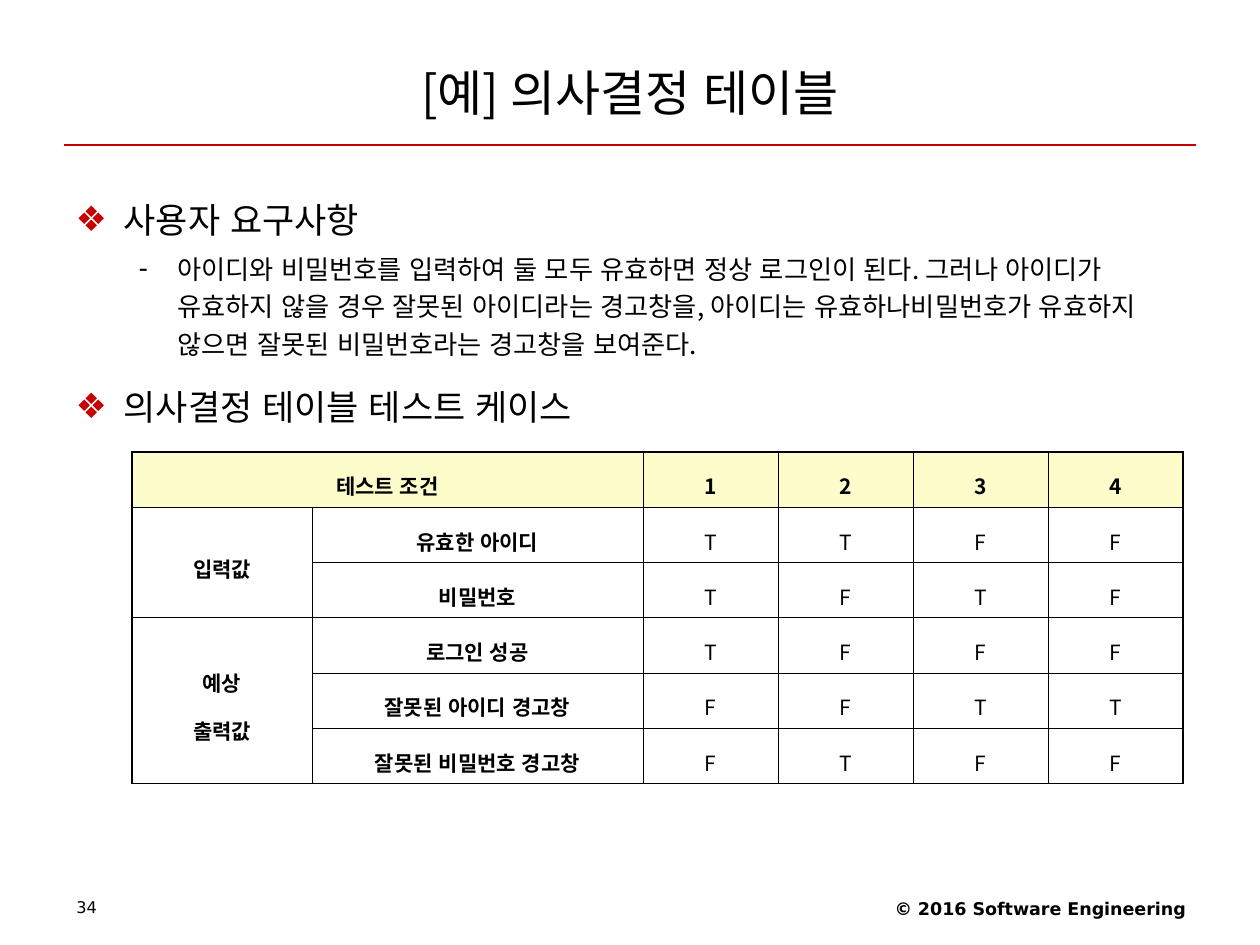
import dataclasses

import lxml.etree
import pptx
import pptx.dml.color
import pptx.enum.shapes
import pptx.enum.text
import pptx.oxml
import pptx.oxml.ns
import pptx.util


@dataclasses.dataclass(frozen=True)
class Theme:
    text: str = "000000"
    accent: str = "C40000"
    header_fill: str = "FDFCCB"
    korean_font: str = "Noto Sans CJK KR"
    latin_font: str = "DejaVu Sans"
    title_size: float = 28
    heading_size: float = 20
    detail_size: float = 15
    table_size: float = 12
    footer_size: float = 10
    number_size: float = 9.2
    inner_border: float = 0.45
    outer_border: float = 1.08


theme = Theme()
qn = pptx.oxml.ns.qn
align = pptx.enum.text.PP_ALIGN
middle = pptx.enum.text.MSO_ANCHOR.MIDDLE


def px(length):
    return pptx.util.Emu(round(length * 914400 / 126))


def add_run(paragraph, text, size, font_name=theme.korean_font, bold=False):
    """Add a run whose Latin and East Asian text share one font."""
    run = paragraph.add_run()
    run.text = text
    run.font.size = pptx.util.Pt(size)
    run.font.bold = bold
    run.font.name = font_name
    run.font.color.rgb = pptx.dml.color.RGBColor.from_string(theme.text)
    properties = run.font._element
    properties.set("lang", "ko-KR")
    lxml.etree.SubElement(properties, qn("a:ea"), typeface=font_name)


presentation = pptx.Presentation()
presentation.slide_width = px(1260)
presentation.slide_height = px(945)
slide = presentation.slides.add_slide(presentation.slide_layouts[1])

# Title and the rule below it
title = slide.shapes.title
title.left, title.top, title.width, title.height = px(63), px(38), px(1134), px(107)
title.text_frame.auto_size = pptx.enum.text.MSO_AUTO_SIZE.NONE
title.text_frame.vertical_anchor = middle
title.text_frame.paragraphs[0].alignment = align.CENTER
add_run(title.text_frame.paragraphs[0], "[예] 의사결정 테이블", theme.title_size)

rule = slide.shapes.add_connector(
    pptx.enum.shapes.MSO_CONNECTOR.STRAIGHT, px(64), px(145), px(1196), px(145))
rule.line.color.rgb = pptx.dml.color.RGBColor.from_string(theme.accent)
rule.line.width = pptx.util.Pt(0.75)
lxml.etree.SubElement(rule._element.spPr, qn("a:effectLst"))

# Bulleted body
body = slide.placeholders[1]
body.left, body.top, body.width, body.height = px(63), px(175), px(1134), px(694)
body.text_frame.auto_size = pptx.enum.text.MSO_AUTO_SIZE.NONE

# size, line spacing, space before, left margin, hanging indent, bullet, bullet colour
levels = [
    (theme.heading_size, 1.4, 5, 48, 48, "❖", theme.accent),
    (theme.detail_size, 1.2, 3.7, 102, 39, "-", theme.text),
]
body_items = [
    (0, "사용자 요구사항"),
    (1, "아이디와 비밀번호를 입력하여 둘 모두 유효하면 정상 로그인이 된다. "
        "그러나 아이디가 유효하지 않을 경우 잘못된 아이디라는 경고창을, "
        "아이디는 유효하나비밀번호가 유효하지 않으면 "
        "잘못된 비밀번호라는 경고창을 보여준다."),
    (0, "의사결정 테이블 테스트 케이스"),
]
for index, (level, text) in enumerate(body_items):
    size, line_spacing, space_before, margin, hanging, bullet, bullet_color = levels[level]
    frame = body.text_frame
    paragraph = frame.add_paragraph() if index else frame.paragraphs[0]
    paragraph.level = level
    paragraph.line_spacing = line_spacing
    paragraph.space_before = pptx.util.Pt(space_before)
    properties = paragraph._p.get_or_add_pPr()
    properties.set("marL", str(px(margin)))
    properties.set("indent", str(-px(hanging)))
    color = lxml.etree.SubElement(properties, qn("a:buClr"))
    lxml.etree.SubElement(color, qn("a:srgbClr"), val=bullet_color)
    lxml.etree.SubElement(properties, qn("a:buFont"), typeface=theme.latin_font)
    lxml.etree.SubElement(properties, qn("a:buChar"), char=bullet)
    add_run(paragraph, text, size)

# Decision table
rows = [
    ["테스트 조건", "", "1", "2", "3", "4"],
    ["입력값", "유효한 아이디", "T", "T", "F", "F"],
    ["", "비밀번호", "T", "F", "T", "F"],
    ["예상\n출력값", "로그인 성공", "T", "F", "F", "F"],
    ["", "잘못된 아이디 경고창", "F", "F", "T", "T"],
    ["", "잘못된 비밀번호 경고창", "F", "T", "F", "F"],
]
column_widths = [180, 331] + [135] * 4
row_height = 48
table = slide.shapes.add_table(
    len(rows), len(column_widths), px(132), px(452),
    px(sum(column_widths)), px(row_height * len(rows))).table
table.first_row = False
table.horz_banding = False
for column, width in zip(table.columns, column_widths):
    column.width = px(width)
for row in table.rows:
    row.height = px(row_height)
for first, last in [((0, 0), (0, 1)), ((1, 0), (2, 0)), ((3, 0), (5, 0))]:
    table.cell(*first).merge(table.cell(*last))

for row_index, row in enumerate(rows):
    for column_index, text in enumerate(row):
        cell = table.cell(row_index, column_index)
        cell.vertical_anchor = middle
        cell.margin_left = cell.margin_right = pptx.util.Inches(0.1)
        cell.margin_top = cell.margin_bottom = pptx.util.Inches(0.05)
        row_end, column_end = row_index + 1, column_index + 1
        if cell.is_merge_origin:
            row_end = row_index + cell.span_height
            column_end = column_index + cell.span_width
        on_outer_edge = {
            "a:lnL": column_index == 0,
            "a:lnR": column_end == len(row),
            "a:lnT": row_index == 0,
            "a:lnB": row_end == len(rows),
        }
        properties = cell._tc.get_or_add_tcPr()
        for tag, is_outer in on_outer_edge.items():
            width = theme.outer_border if is_outer else theme.inner_border
            border = lxml.etree.SubElement(
                properties, qn(tag), w=str(pptx.util.Pt(width)))
            fill = lxml.etree.SubElement(border, qn("a:solidFill"))
            lxml.etree.SubElement(fill, qn("a:srgbClr"), val=theme.text)
        if row_index == 0:
            cell.fill.solid()
            cell.fill.fore_color.rgb = pptx.dml.color.RGBColor.from_string(theme.header_fill)
        else:
            cell.fill.background()
        if not text:
            continue
        is_label = row_index == 0 or column_index < 2
        for index, line in enumerate(text.split("\n")):
            frame = cell.text_frame
            paragraph = frame.add_paragraph() if index else frame.paragraphs[0]
            paragraph.alignment = align.CENTER
            paragraph.line_spacing = 1.4
            paragraph.space_before = pptx.util.Pt(3)
            add_run(paragraph, line, theme.table_size, bold=is_label)

# Footer: left, top, width, height, text, size, bold, alignment, line spacing
footers = [
    (799, 892, 399, 37, "© 2016 Software Engineering", theme.footer_size, True, align.RIGHT, 1.0),
    (64, 893, 294, 35, "34", theme.number_size, False, align.LEFT, 0.9),
]
for left, top, width, height, text, size, bold, alignment, line_spacing in footers:
    footer = slide.shapes.add_textbox(px(left), px(top), px(width), px(height))
    footer.text_frame.word_wrap = True
    paragraph = footer.text_frame.paragraphs[0]
    paragraph.alignment = alignment
    paragraph.line_spacing = line_spacing
    add_run(paragraph, text, size, theme.latin_font, bold)

presentation.save("out.pptx")
